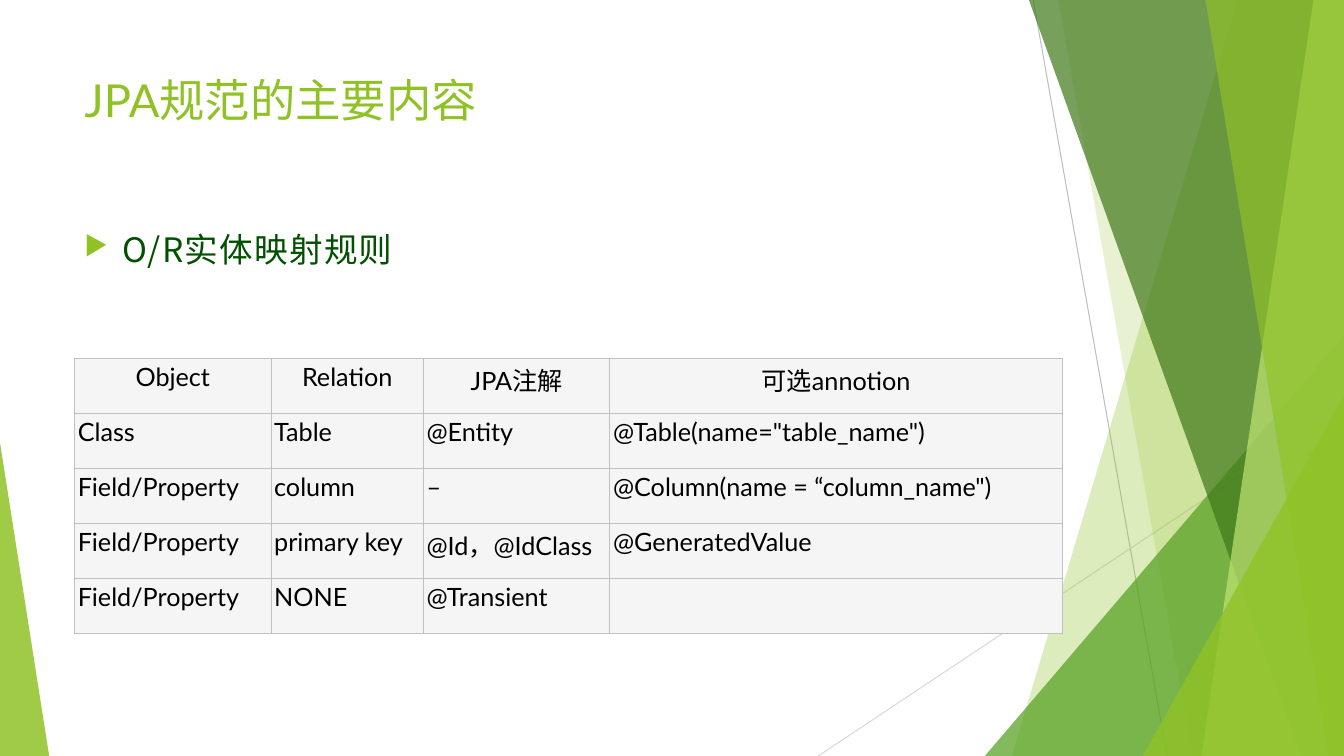
from lxml import etree
from pptx import Presentation
from pptx.dml.color import RGBColor
from pptx.enum.shapes import MSO_CONNECTOR, MSO_SHAPE
from pptx.enum.text import MSO_ANCHOR, PP_ALIGN
from pptx.oxml.ns import qn
from pptx.util import Cm, Pt

LINE = MSO_CONNECTOR.STRAIGHT
TRIANGLE = MSO_SHAPE.ISOSCELES_TRIANGLE
TOP = MSO_ANCHOR.TOP
LEFT, CENTER = PP_ALIGN.LEFT, PP_ALIGN.CENTER

W, H = 33.87, 19.05
LATIN, CJK = "Lato", "Noto Sans CJK SC"
COLORS = {
    "lime": "90C226", "green": "54A021", "forest": "3F7819", "pale": "C0E474",
    "heading": "005000", "text": "000000", "cell": "F5F5F5", "border": "C0C0C0",
    "line": "BFBFBF", "faint": "D9D9D9",
}

COLUMNS = [4.95, 3.84, 4.7, 11.4]
ROW_HEIGHT = 1.39
MAPPING = [
    ["Object", "Relation", "JPA注解", "可选annotion"],
    ["Class", "Table", "@Entity", '@Table(name="table_name")'],
    ["Field/Property", "column", "–", '@Column(name = “column_name")'],
    ["Field/Property", "primary key", "@Id，@IdClass", "@GeneratedValue"],
    ["Field/Property", "NONE", "@Transient", ""],
]


def rgb(name):
    return RGBColor.from_string(COLORS[name])


def sub(parent, tag, **attrs):
    return etree.SubElement(parent, qn(tag), attrs)


def write(tf, text, size, color, font=LATIN, align=LEFT, spacing=None):
    p = tf.paragraphs[0]
    p.alignment = align
    r = p.add_run()
    r.text = text
    r.font.size = Pt(size)
    r.font.name = font
    r.font.color.rgb = rgb(color)
    rPr = r.font._element
    sub(rPr, "a:ea", typeface=CJK)
    if spacing:
        rPr.set("spc", str(spacing))
    return p


def paint(sp, color, alpha):
    sp.shadow.inherit = False
    sp.fill.solid()
    sp.fill.fore_color.rgb = rgb(color)
    clr = sp._element.spPr.find(qn("a:solidFill"))[0]
    sub(clr, "a:alpha", val=str(alpha * 1000))
    sp.line.fill.background()


def add_line(slide, x1, y1, x2, y2, color):
    cn = slide.shapes.add_connector(LINE, Cm(x1), Cm(y1), Cm(x2), Cm(y2))
    cn.line.color.rgb = rgb(color)
    cn.line.width = Pt(0.75)
    sub(cn._element.spPr, "a:effectLst")


def add_panel(slide, top_x, bottom_x, color, alpha):
    fb = slide.shapes.build_freeform(Cm(top_x), 0, scale=1.0)
    fb.add_line_segments([(Cm(x), Cm(y)) for x, y in ((W, 0), (W, H), (bottom_x, H))])
    paint(fb.convert_to_shape(), color, alpha)


def add_corner(slide, left, top, right, apex, color, alpha):
    sp = slide.shapes.add_shape(TRIANGLE, Cm(left), Cm(top), Cm(right - left), Cm(H - top))
    sp.adjustments[0] = apex
    paint(sp, color, alpha)


def add_decoration(slide):
    add_line(slide, 26.04, 0, 29.41, H, "line")
    add_line(slide, W, 10.24, 20.62, H, "faint")
    add_panel(slide, 31.19, 25.5, "lime", 30)
    add_panel(slide, 26.67, 30.05, "lime", 20)
    add_corner(slide, 24.82, 8.46, W, 1, "green", 72)
    add_panel(slide, 25.93, 32.79, "forest", 70)
    add_panel(slide, 33.1, 30.28, "pale", 70)
    add_panel(slide, 30.38, 33.48, "lime", 65)
    add_corner(slide, 28.8, 9.98, W, 1, "lime", 80)
    add_corner(slide, 0, 11.15, 1.24, 0, "lime", 85)


def add_title(slide, left, top, width, height):
    sp = slide.shapes.title
    sp.left, sp.top, sp.width, sp.height = Cm(left), Cm(top), Cm(width), Cm(height)
    tf = sp.text_frame
    tf.vertical_anchor = TOP
    tf.word_wrap = True
    write(tf, "JPA规范的主要内容", 32.4, "lime")


def add_body(slide, left, top, width, height):
    tf = slide.shapes.add_textbox(Cm(left), Cm(top), Cm(width), Cm(height)).text_frame
    tf.word_wrap = True
    p = write(tf, "O/R实体映射规则", 24, "heading", font=CJK, spacing=90)
    pPr = p._p.get_or_add_pPr()
    pPr.set("marL", str(Cm(0.95)))
    pPr.set("indent", str(-Cm(0.95)))
    sub(sub(pPr, "a:buClr"), "a:srgbClr", val=COLORS["lime"])
    sub(pPr, "a:buSzPct", val="80000")
    sub(pPr, "a:buChar", char="▶")


def format_cell(cell):
    cell.margin_left = cell.margin_right = Cm(0.08)
    cell.margin_top = cell.margin_bottom = Cm(0.08)
    tcPr = cell._tc.get_or_add_tcPr()
    for side in ("a:lnL", "a:lnR", "a:lnT", "a:lnB"):
        ln = sub(tcPr, side, w=str(Pt(0.75)))
        sub(sub(ln, "a:solidFill"), "a:srgbClr", val=COLORS["border"])
    cell.fill.solid()
    cell.fill.fore_color.rgb = rgb("cell")


def add_mapping_table(slide, left, top):
    rows = len(MAPPING)
    table = slide.shapes.add_table(rows, len(COLUMNS), Cm(left), Cm(top),
                                   Cm(sum(COLUMNS)), Cm(ROW_HEIGHT * rows)).table
    table.first_row = table.horz_banding = False
    for col, width in zip(table.columns, COLUMNS):
        col.width = Cm(width)
    for i, texts in enumerate(MAPPING):
        table.rows[i].height = Cm(ROW_HEIGHT)
        for j, text in enumerate(texts):
            cell = table.cell(i, j)
            format_cell(cell)
            if text:
                write(cell.text_frame, text, 18, "text", align=LEFT if i else CENTER)


def main():
    prs = Presentation()
    prs.slide_width, prs.slide_height = Cm(W), Cm(H)
    slide = prs.slides.add_slide(prs.slide_layouts[5])
    add_decoration(slide)
    add_title(slide, 1.88, 1.7, 23.88, 1.42)
    add_body(slide, 1.88, 5.64, 23.88, 11.15)
    add_mapping_table(slide, 1.88, 9.02)
    prs.save("out.pptx")


if __name__ == "__main__":
    main()
